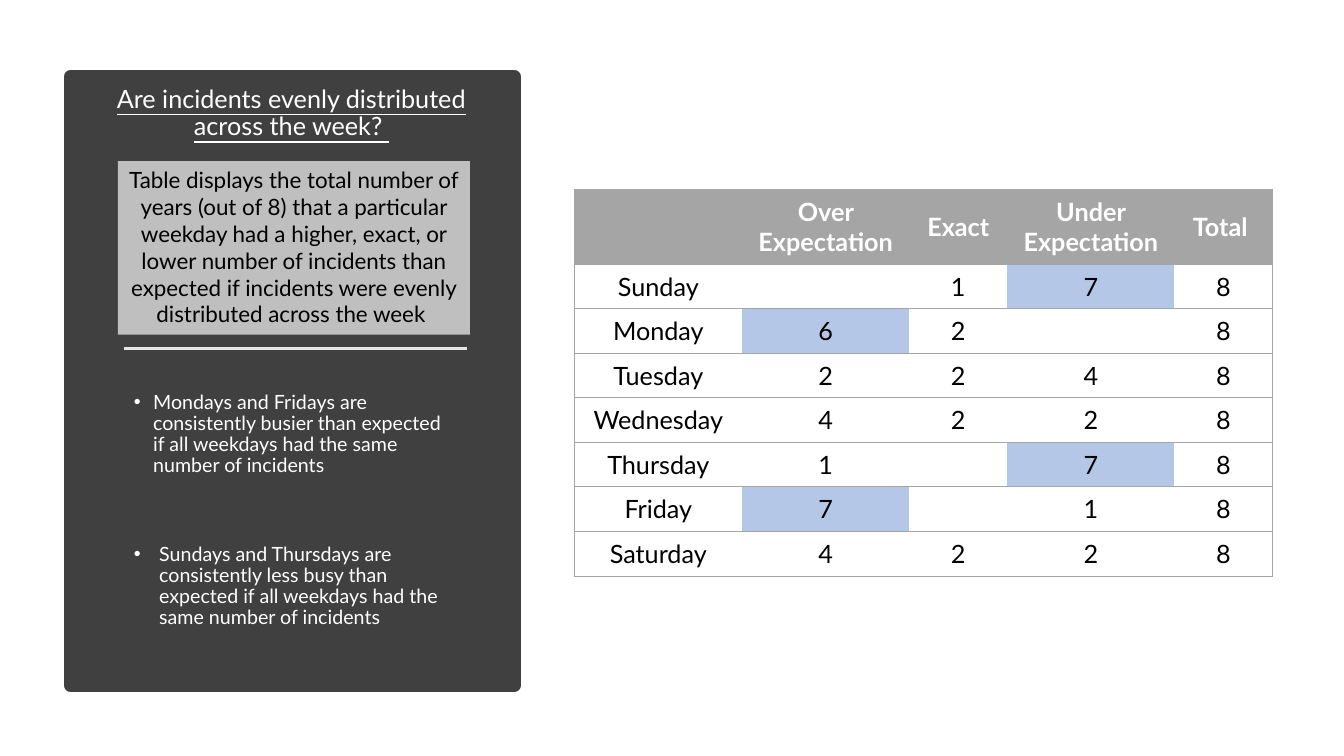
from lxml import etree
from pptx import Presentation
from pptx import util as u
from pptx.dml.color import RGBColor
from pptx.enum import shapes, text
from pptx.oxml import ns

WHITE = RGBColor(0xFF, 0xFF, 0xFF)
BLACK = RGBColor(0, 0, 0)
CHARCOAL = RGBColor(0x40, 0x40, 0x40)
SILVER = RGBColor(0xBF, 0xBF, 0xBF)
RULE = RGBColor(0xE7, 0xE6, 0xE6)
GRAY = RGBColor(0xA5, 0xA5, 0xA5)
BLUE = RGBColor(0xB4, 0xC7, 0xE7)
FONT = "Lato"

presentation = Presentation()
presentation.slide_width = u.Inches(13.33)
presentation.slide_height = u.Inches(7.5)
slide = presentation.slides.add_slide(presentation.slide_layouts[6])
COLUMN = presentation.slide_width / 100
ROW = presentation.slide_height / 100


def place(left, top, width, height):
    return int(left * COLUMN), int(top * ROW), int(width * COLUMN), int(height * ROW)


def style(paragraph, size, color, alignment=text.PP_ALIGN.CENTER):
    paragraph.alignment = alignment
    for run in paragraph.runs:
        run.font.name = FONT
        run.font.size = u.Pt(size)
        run.font.color.rgb = color


panel = slide.shapes.add_shape(shapes.MSO_SHAPE.RECTANGLE, *place(5.25, 10.13, 33, 80.53))
panel.shadow.inherit = False
panel.fill.solid()
panel.fill.fore_color.rgb = CHARCOAL
panel.line.color.rgb = CHARCOAL
panel.line.width = u.Pt(10)

left, top, right, bottom = place(9.23, 46.13, 34.73, 46.13)
divider = slide.shapes.add_connector(shapes.MSO_CONNECTOR.STRAIGHT, left, top, right, bottom)
divider.line.color.rgb = RULE
divider.line.width = u.Pt(1.75)
etree.SubElement(divider._element.spPr, ns.qn("a:effectLst"))

findings = slide.shapes.add_textbox(*place(8.78, 47.33, 25.81, 39.6))
frame = findings.text_frame
frame.word_wrap = True
frame.margin_top = int(4.57 * ROW)
frame.text = (
    "Mondays and Fridays are consistently busier than expected if all weekdays had the same number of incidents\n"
    "Sundays and Thursdays are consistently less busy than expected if all weekdays had the same number of incidents"
)
for paragraph, margin, hanging in zip(frame.paragraphs, (0.25, 0.31), (0.19, 0.25)):
    properties = paragraph._p.get_or_add_pPr()
    properties.set("marL", str(u.Inches(margin)))
    properties.set("indent", str(-u.Inches(hanging)))
    etree.SubElement(properties, ns.qn("a:buFont"), typeface="Arial")
    etree.SubElement(properties, ns.qn("a:buChar"), char="•")
    paragraph.line_spacing = 0.9
    paragraph.space_after = u.Pt(6)
    style(paragraph, 14, WHITE, text.PP_ALIGN.LEFT)
frame.paragraphs[1].space_before = u.Pt(42)

records = [
    ("", "Over Expectation", "Exact", "Under Expectation", "Total "),
    ("Sunday", "", "1", "7", "8"),
    ("Monday", "6", "2", "", "8"),
    ("Tuesday", "2", "2", "4", "8"),
    ("Wednesday", "4", "2", "2", "8"),
    ("Thursday", "1", "", "7", "8"),
    ("Friday", "7", "", "1", "8"),
    ("Saturday", "4", "2", "2", "8"),
]
highlights = {(1, 3), (2, 1), (5, 3), (6, 1)}
widths = (12.45, 12.45, 7.28, 12.45, 7.28)
table = slide.shapes.add_table(len(records), len(widths), *place(42.76, 25.07, 51.91, 51.07)).table
table.horz_banding = False
table._tbl.tblPr.find(ns.qn("a:tableStyleId")).text = "{2D5ABB26-0587-4C30-8999-92F81FD0307C}"
for column, width in zip(table.columns, widths):
    column.width = int(width * COLUMN)

for row_index, record in enumerate(records):
    header = row_index == 0
    table.rows[row_index].height = int((9.87 if header else 5.89) * ROW)
    for column_index, value in enumerate(record):
        cell = table.cell(row_index, column_index)
        cell.vertical_anchor = text.MSO_ANCHOR.MIDDLE
        cell.text = value
        paragraph = cell.text_frame.paragraphs[0]
        style(paragraph, 18, WHITE if header else BLACK)
        for run in paragraph.runs:
            run.font.bold = header
        sides = ["lnT", "lnB"]
        if column_index == 0:
            sides.insert(0, "lnL")
        if column_index == len(widths) - 1:
            sides.insert(0, "lnR")
        for side in sides:
            border = etree.SubElement(cell._tc.get_or_add_tcPr(), ns.qn("a:" + side), w=str(u.Pt(0.5)))
            fill = etree.SubElement(border, ns.qn("a:solidFill"))
            etree.SubElement(fill, ns.qn("a:srgbClr"), val=str(GRAY))
        if header or (row_index, column_index) in highlights:
            cell.fill.solid()
            cell.fill.fore_color.rgb = GRAY if header else BLUE
        else:
            cell.fill.background()

title = slide.shapes.add_textbox(*place(6.3, 10.8, 30.76, 8.67))
title.text_frame.word_wrap = True
title.text_frame.text = "Are incidents evenly distributed across the week? "
paragraph = title.text_frame.paragraphs[0]
paragraph.line_spacing = 0.9
paragraph.space_after = u.Pt(6)
style(paragraph, 18, WHITE)
paragraph.runs[0].font.underline = True

note = slide.shapes.add_shape(shapes.MSO_SHAPE.RECTANGLE, *place(8.78, 21.33, 26.18, 22.93))
note.shadow.inherit = False
note.fill.solid()
note.fill.fore_color.rgb = SILVER
note.line.fill.background()
note.text_frame.word_wrap = True
note.text_frame.vertical_anchor = text.MSO_ANCHOR.TOP
note.text_frame.text = (
    "Table displays the total number of years (out of 8) that a particular weekday had a higher, exact, "
    "or lower number of incidents than expected if incidents were evenly distributed across the week "
)
style(note.text_frame.paragraphs[0], 16, BLACK)

presentation.save("out.pptx")
